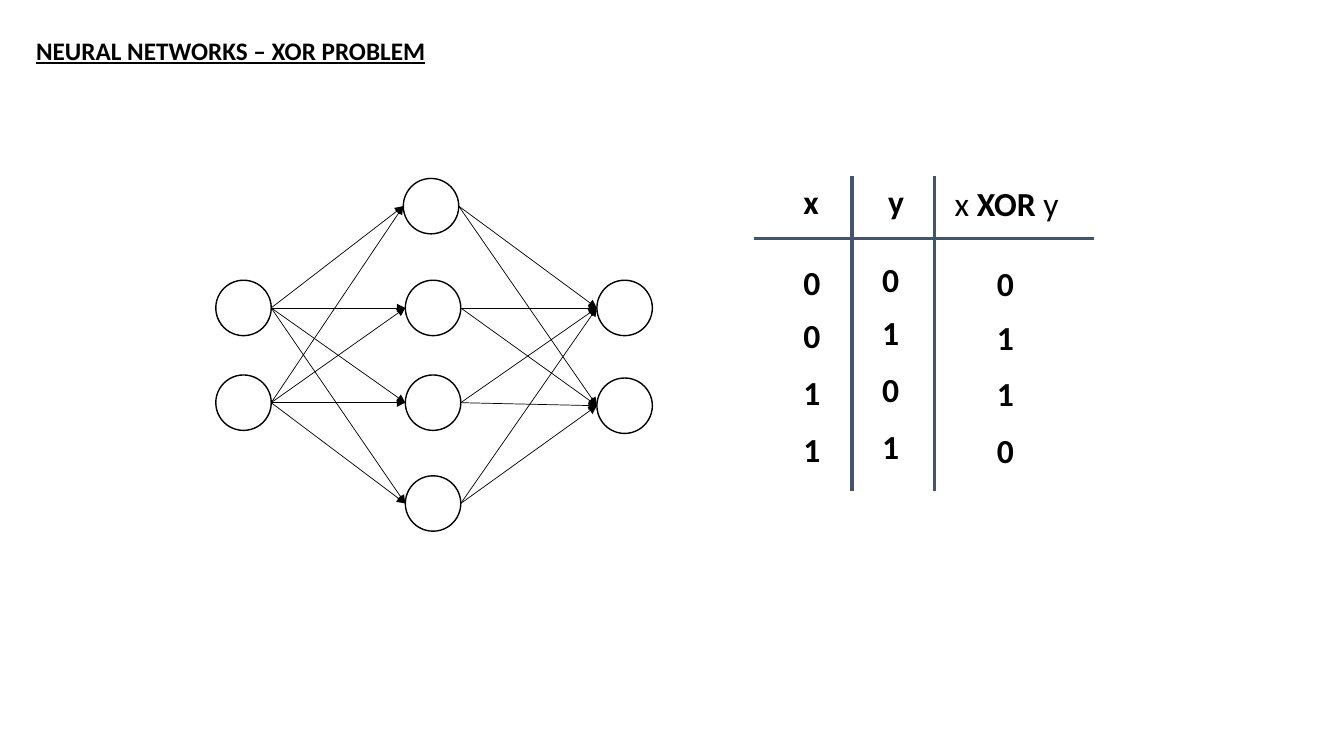
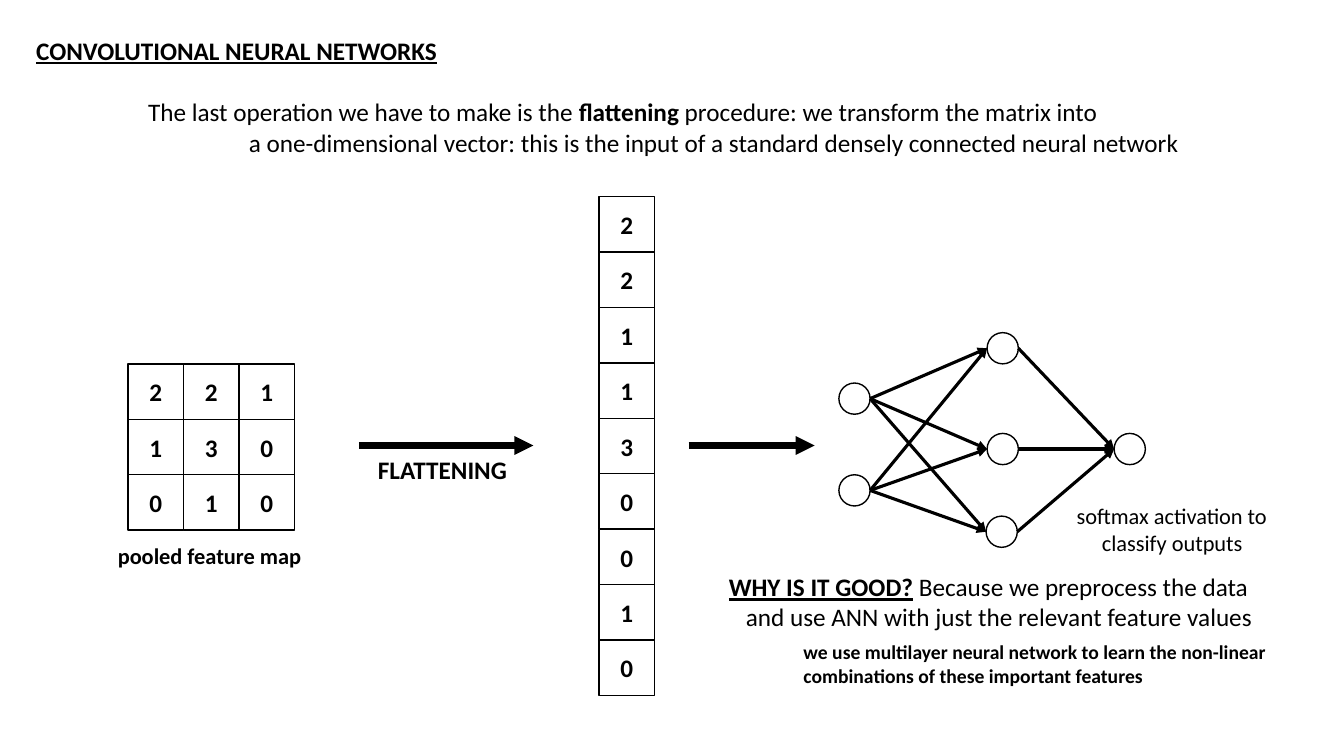
from pptx import Presentation
from pptx.dml.color import RGBColor
from pptx.enum.shapes import MSO_CONNECTOR, MSO_SHAPE
from pptx.enum.text import MSO_ANCHOR, MSO_AUTO_SIZE, PP_ALIGN
from pptx.oxml.ns import qn
from pptx.util import Inches, Pt
from lxml.etree import SubElement

BLACK = RGBColor(0x00, 0x00, 0x00)
WHITE = RGBColor(0xFF, 0xFF, 0xFF)
SLATE = RGBColor(0x44, 0x54, 0x6A)
FONT = "Calibri"
BOLD = {"bold": True}
PLAIN = {"bold": False}
UNDERLINED = {"bold": True, "underline": True}


def write(frame, lines, size):
    for number, (indent, spans) in enumerate(lines):
        para = frame.paragraphs[0] if number == 0 else frame.add_paragraph()
        if indent:
            para._p.get_or_add_pPr().set("marL", str(Inches(indent)))
        for text, style in spans:
            span = para.add_run()
            span.text = text
            span.font.color.rgb = BLACK
            for name, value in {"name": FONT, "size": Pt(size), **style}.items():
                setattr(span.font, name, value)


def draw_line(page, start, end, color, width, arrow):
    line = page.shapes.add_connector(
        MSO_CONNECTOR.STRAIGHT, *[Inches(value) for value in (*start, *end)]
    )
    line.line.color.rgb = color
    line.line.width = Pt(width)
    properties = line._element.spPr
    if arrow:
        SubElement(properties.find(qn("a:ln")), qn("a:tailEnd"), type="triangle")
    SubElement(properties, qn("a:effectLst"))


deck = Presentation()
deck.slide_width = Inches(13.33)
deck.slide_height = Inches(7.5)
xor_page, cnn_page = [deck.slides.add_slide(deck.slide_layouts[6]) for _ in range(2)]

texts = [
    (xor_page, (0.26, 0.3, 4.26, 0.4), 18, [(0, [("NEURAL NETWORKS – XOR PROBLEM", UNDERLINED)])]),
    (xor_page, (7.87, 1.75, 0.36, 0.5), 24, [(0, [("x", BOLD)])]),
    (xor_page, (8.71, 1.75, 0.36, 0.5), 24, [(0, [("y", BOLD)])]),
    (xor_page, (9.37, 1.77, 1.24, 0.5), 24, [(0, [("x ", PLAIN), ("XOR ", BOLD), ("y", PLAIN)])]),
    (cnn_page, (0.26, 0.3, 4.22, 0.4), 18, [(0, [("CONVOLUTIONAL NEURAL NETWORKS", UNDERLINED)])]),
    (cnn_page, (1.37, 0.91, 10.55, 0.71), 18, [
        (0, [
            ("The last operation we have to make is the ", PLAIN),
            ("flattening", BOLD),
            (" procedure: we transform the matrix into", PLAIN),
        ]),
        (1, [("a one-dimensional vector: this is the input of a standard densely connected neural network", PLAIN)]),
    ]),
    (cnn_page, (3.65, 4.46, 1.49, 0.4), 18, [(0, [("FLATTENING", BOLD)])]),
    (cnn_page, (1.07, 5.33, 2.04, 0.37), 16, [(0, [("pooled feature map", BOLD)])]),
    (cnn_page, (10.58, 4.93, 2.12, 0.64), 16, [
        (0, [("softmax activation to", PLAIN)]),
        (0.25, [("classify outputs", PLAIN)]),
    ]),
    (cnn_page, (7.13, 5.62, 5.46, 0.71), 18, [
        (0, [("WHY IS IT GOOD?", UNDERLINED), (" ", BOLD), ("Because we preprocess the data", PLAIN)]),
        (0.17, [("and use ANN with just the relevant feature values", PLAIN)]),
    ]),
    (cnn_page, (7.87, 6.3, 4.82, 0.57), 14, [
        (0, [("we use multilayer neural network to learn the non-linear", BOLD)]),
        (0, [("combinations of these important features", BOLD)]),
    ]),
]

truth_columns = [(7.87, 0), (8.65, -0.03), (9.79, 0.01)]
truth_rows = [(2.55, "000"), (3.08, "011"), (3.64, "101"), (4.21, "110")]
for top, digits in truth_rows:
    for (left, shift), digit in zip(truth_columns, digits):
        texts.append((xor_page, (left, top + shift, 0.37, 0.5), 24, [(0, [(digit, BOLD)])]))

for page, place, size, lines in texts:
    box = page.shapes.add_textbox(*[Inches(value) for value in place])
    box.text_frame.word_wrap = False
    box.text_frame.auto_size = MSO_AUTO_SIZE.SHAPE_TO_FIT_TEXT
    write(box.text_frame, lines, size)

draw_line(xor_page, (7.48, 2.37), (10.85, 2.37), SLATE, 2.25, False)
for x in (8.45, 9.27):
    draw_line(xor_page, (x, 1.75), (x, 4.87), SLATE, 2.25, False)
for start, end in [(3.56, 5.29), (6.83, 8.08)]:
    draw_line(cnn_page, (start, 4.42), (end, 4.42), BLACK, 4.5, True)

networks = [
    (xor_page, 0.55, 0.5, [
        [(2.14, 2.78), (2.14, 3.72)],
        [(4, 1.77), (4.02, 2.78), (4.02, 3.72), (4.02, 4.72)],
        [(5.92, 2.78), (5.92, 3.75)],
    ]),
    (cnn_page, 0.31, 2.25, [
        [(8.32, 3.8), (8.32, 4.71)],
        [(9.79, 3.3), (9.79, 4.3), (9.78, 5.12)],
        [(11.05, 4.3)],
    ]),
]
for page, diameter, width, layers in networks:
    for layer in layers:
        for left, top in layer:
            node = page.shapes.add_shape(
                MSO_SHAPE.OVAL, Inches(left), Inches(top), Inches(diameter), Inches(diameter)
            )
            node.shadow.inherit = False
            node.fill.solid()
            node.fill.fore_color.rgb = WHITE
            node.line.color.rgb = BLACK
            node.line.width = Pt(1)
    radius = diameter / 2
    for sources, targets in zip(layers, layers[1:]):
        for source_left, source_top in sources:
            for target_left, target_top in targets:
                start = (source_left + diameter, source_top + radius)
                draw_line(page, start, (target_left, target_top + radius), BLACK, width, True)

CELL = 0.55
feature_values = "221130010"
for left, top, columns in [(1.27, 3.61, 3), (5.94, 1.95, 1)]:
    for index, value in enumerate(feature_values):
        row, column = divmod(index, columns)
        cell = cnn_page.shapes.add_shape(
            MSO_SHAPE.RECTANGLE,
            Inches(left + column * CELL), Inches(top + row * CELL), Inches(CELL), Inches(CELL),
        )
        cell.shadow.inherit = False
        cell.fill.background()
        cell.line.color.rgb = BLACK
        cell.line.width = Pt(1)
        cell.text_frame.vertical_anchor = MSO_ANCHOR.MIDDLE
        write(cell.text_frame, [(0, [(value, BOLD)])], 18)
        cell.text_frame.paragraphs[0].alignment = PP_ALIGN.CENTER

deck.save("out.pptx")
